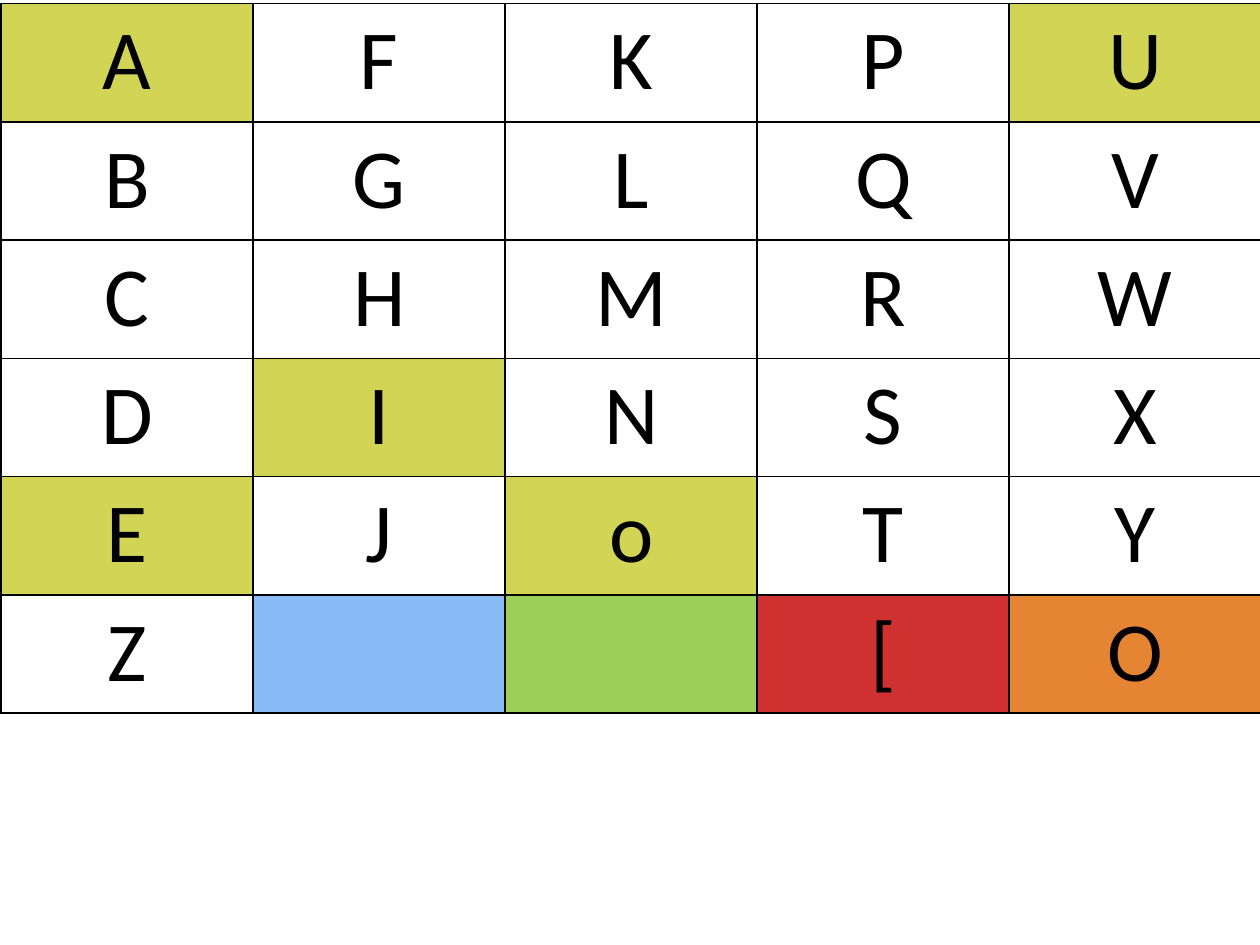
from dataclasses import dataclass

from lxml.etree import SubElement
from pptx import Presentation
from pptx.dml.color import RGBColor
from pptx.enum.text import PP_ALIGN as Align
from pptx.oxml.ns import qn
from pptx.util import Pt

BLACK = RGBColor(0x00, 0x00, 0x00)
WHITE = RGBColor(0xFF, 0xFF, 0xFF)
YELLOW = RGBColor(0xD2, 0xD4, 0x56)
BLUE = RGBColor(0x88, 0xBB, 0xF7)
GREEN = RGBColor(0x9C, 0xCF, 0x57)
RED = RGBColor(0xCF, 0x30, 0x30)
ORANGE = RGBColor(0xE5, 0x84, 0x32)

COLS, ROWS = 5, 6
COL_W, ROW_H = 144, 67.6
VOWELS = "AEIoU"


@dataclass
class Tile:
    text: str
    fill: RGBColor


def letter_tile(letter: str) -> Tile:
    return Tile(letter, YELLOW if letter in VOWELS else WHITE)


def add_borders(cell, color: RGBColor, width: float) -> None:
    tc_pr = cell._tc.get_or_add_tcPr()
    for i, side in enumerate(("lnL", "lnR", "lnT", "lnB")):
        ln = tc_pr.makeelement(qn(f"a:{side}"), {"w": str(Pt(width))})
        fill = SubElement(ln, qn("a:solidFill"))
        SubElement(fill, qn("a:srgbClr"), val=str(color))
        tc_pr.insert(i, ln)  # borders come before the cell fill


def draw_tile(cell, tile: Tile) -> None:
    cell.fill.solid()
    cell.fill.fore_color.rgb = tile.fill
    add_borders(cell, BLACK, 1)
    p = cell.text_frame.paragraphs[0]
    p.text = tile.text
    p.alignment = Align.CENTER
    p.font.name = "Calibri"
    p.font.size = Pt(48)
    p.font.bold = False
    p.font.color.rgb = BLACK


# The alphabet runs down the columns; the last row holds Z and the extra tiles
COLUMNS = ["ABCDE", "FGHIJ", "KLMNo", "PQRST", "UVWXY"]
GRID = [[letter_tile(letter) for letter in row] for row in zip(*COLUMNS)]
GRID.append([letter_tile("Z"), Tile("", BLUE), Tile("", GREEN),
             Tile("[", RED), Tile("O", ORANGE)])

# Slide
prs = Presentation()
prs.slide_width, prs.slide_height = Pt(720), Pt(540)
s = prs.slides.add_slide(prs.slide_layouts[6])

# Letter board
table = s.shapes.add_table(ROWS, COLS, Pt(0.7), Pt(2),
                           Pt(COLS * COL_W), Pt(ROWS * ROW_H)).table
table.first_row = table.horz_banding = False
for row, tiles in zip(table.rows, GRID):
    row.height = Pt(ROW_H)
    for cell, tile in zip(row.cells, tiles):
        draw_tile(cell, tile)

prs.save("out.pptx")
